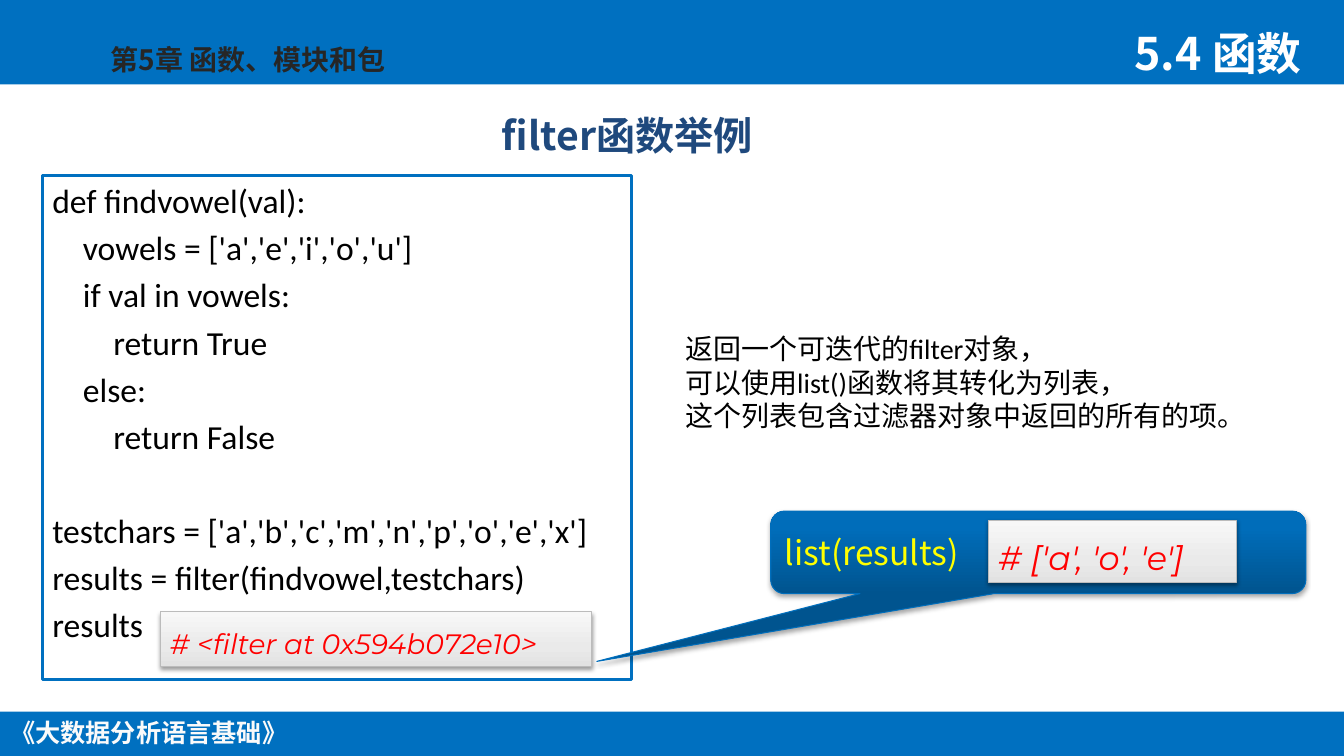
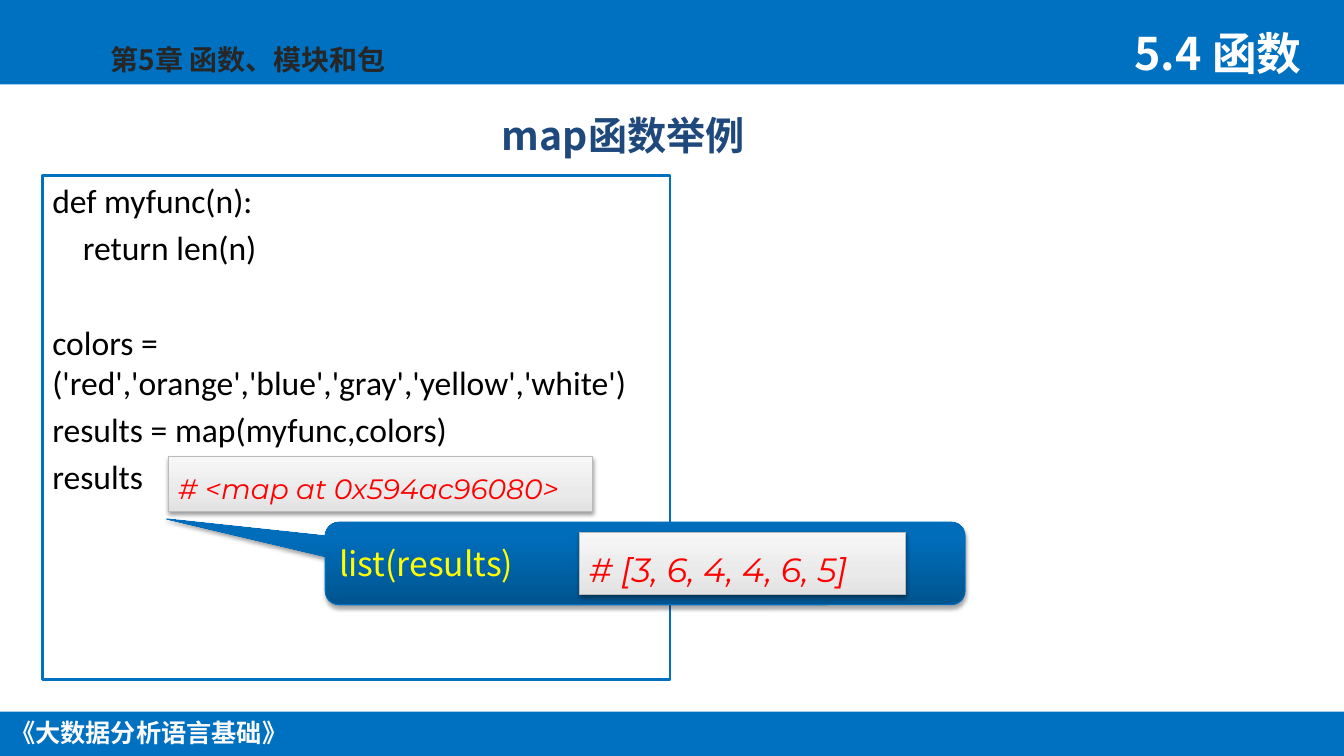
from lxml import etree
from pptx import Presentation
from pptx.dml.color import RGBColor
from pptx.enum.shapes import MSO_SHAPE
from pptx.enum.text import MSO_ANCHOR, MSO_AUTO_SIZE, PP_ALIGN
from pptx.oxml import parse_xml
from pptx.oxml.ns import nsdecls, qn
from pptx.util import Cm, Pt

RECT, CALLOUT = MSO_SHAPE.RECTANGLE, MSO_SHAPE.ROUNDED_RECTANGULAR_CALLOUT
TOP, MIDDLE, BOTTOM = MSO_ANCHOR.TOP, MSO_ANCHOR.MIDDLE, MSO_ANCHOR.BOTTOM
LEFT, CENTER = PP_ALIGN.LEFT, PP_ALIGN.CENTER
NO_FIT = MSO_AUTO_SIZE.NONE

WIDTH, HEIGHT = 33.88, 19.05
CJK = "Noto Sans CJK SC"
COLORS = {
    "band": "0070C0", "white": "FFFFFF", "footer": "FAFAFA", "chapter": "262626",
    "title": "1F497D", "code": "000000", "result": "FF0000", "call": "FFFF00",
    "note_line": "BBBBBB", "call_line": "006EBC", "shadow": "000000",
}
GRADIENTS = {
    "note": [(0, "E2E2E2"), (35, "EAEAEA"), (100, "F7F7F7")],
    "call": [(0, "00548F"), (80, "006DBA"), (100, "006DBB")],
}
FORMATS = {
    "footer": {"size": Pt(18), "name": CJK, "bold": True},
    "chapter": {"size": Pt(20), "name": CJK, "bold": True},
    "section": {"size": Pt(32), "name": CJK, "bold": True},
    "title": {"size": Pt(28), "name": CJK, "bold": True},
    "code": {"size": Pt(24), "name": "Calibri"},
    "remark": {"size": Pt(20), "name": "Calibri"},
    "call": {"size": Pt(24), "name": CJK},
    "note": {"size": Pt(20), "name": "Montserrat", "italic": True},
    "list": {"size": Pt(24), "name": "Montserrat", "italic": True},
}

BANDS = [(0, 0, WIDTH, 2.13), (0, 17.93, WIDTH, 1.12)]
FOOTER = ("《大数据分析语言基础》", (0, 17.96, 7.5, 1.02))
CHAPTER = ("第5章 函数、模块和包", (2.54, 0.94, 9.6, 1.12))
SECTION = ("5.4 函数", (28.35, 0.53, 5.53, 1.63))
TITLE_BOX = (12.4, 2.54, 9.07, 1.6)
CODE_LEFT, CODE_TOP, CODE_HEIGHT = 1.07, 4.42, 12.7
CODE_INDENT, CODE_SPACE, CODE_GAP = 0.77, 4.8, 38.4

SLIDES = [
    {
        "title": "filter函数举例",
        "code_width": 14.86,
        "code": [
            [(0, "def findvowel(val):"), (1, "vowels = ['a','e','i','o','u']"),
             (1, "if val in vowels:"), (2, "return True"), (1, "else:"), (2, "return False")],
            [(0, "testchars = ['a','b','c','m','n','p','o','e','x']"),
             (0, "results = filter(findvowel,testchars)"), (0, "results")],
        ],
        "note": ("# <filter at 0x594b072e10>", (4.04, 15.42, 10.87, 1.37)),
        "call": ("list(results)", (19.43, 12.88, 13.49, 2.08), (-0.825, 1.321, 0.167)),
        "list": ("# ['a', 'o', 'e']", (24.92, 13.11, 6.25, 1.57)),
        "remark": (["返回一个可迭代的filter对象，", "可以使用list()函数将其转化为列表，",
                    "这个列表包含过滤器对象中返回的所有的项。"], (17.02, 8.23, 14.76, 2.82)),
    },
    {
        "title": "map函数举例",
        "code_width": 15.82,
        "code": [
            [(0, "def myfunc(n):"), (1, "return len(n)")],
            [(0, "colors = ('red','orange','blue','gray','yellow','white')"),
             (0, "results = map(myfunc,colors)"), (0, "results")],
        ],
        "note": ("# <map at 0x594ac96080>", (4.24, 11.51, 10.69, 1.37)),
        "call": ("list(results)", (8.2, 13.16, 16.13, 2.08), (-0.748, -0.539, 0.167)),
        "list": ("# [3, 6, 4, 4, 6, 5]", (14.6, 13.41, 8.23, 1.57)),
    },
]


def rgb(key):
    return RGBColor.from_string(COLORS[key])


def write(sp, lines, style, color, anchor=TOP, align=LEFT, spacing=None):
    tf = sp.text_frame
    tf.word_wrap, tf.auto_size, tf.vertical_anchor = True, NO_FIT, anchor
    for i, line in enumerate(lines):
        p = tf.add_paragraph() if i else tf.paragraphs[0]
        p.alignment = align
        if spacing:
            p.line_spacing = spacing
        r = p.add_run()
        r.text = line
        for name, value in FORMATS[style].items():
            setattr(r.font, name, value)
        r.font.color.rgb = rgb(color)
        etree.SubElement(r.font._element, qn("a:ea")).set("typeface", CJK)
    return tf


def add_text(s, lines, box, style, color, align=LEFT):
    sp = s.shapes.add_textbox(*map(Cm, box))
    write(sp, lines, style, color, align=align)
    return sp


def add_box(s, box, fill, line=None, width=0, kind=RECT):
    sp = s.shapes.add_shape(kind, *map(Cm, box))
    sp.shadow.inherit = False
    sp.fill.solid()
    sp.fill.fore_color.rgb = rgb(fill)
    if line:
        sp.line.color.rgb = rgb(line)
        sp.line.width = Pt(width)
    else:
        sp.line.fill.background()
    return sp


def add_raised(s, box, look, alpha, distance, kind=RECT):
    sp = add_box(s, box, "white", look + "_line", 0.75, kind)
    spPr = sp.element.spPr
    stops = "".join(f'<a:gs pos="{pos * 1000}"><a:srgbClr val="{color}"/></a:gs>'
                    for pos, color in GRADIENTS[look])
    spPr.replace(spPr.find(qn("a:solidFill")), parse_xml(
        f'<a:gradFill {nsdecls("a")} rotWithShape="1"><a:gsLst>{stops}</a:gsLst>'
        '<a:lin ang="16200000" scaled="0"/></a:gradFill>'))
    spPr.find(qn("a:effectLst")).append(parse_xml(
        f'<a:outerShdw {nsdecls("a")} blurRad="{Pt(3.1)}" dist="{Pt(distance)}" '
        f'dir="5400000" rotWithShape="0"><a:srgbClr val="{COLORS["shadow"]}">'
        f'<a:alpha val="{alpha * 1000}"/></a:srgbClr></a:outerShdw>'))
    return sp


def add_code(s, blocks, width):
    sp = add_box(s, (CODE_LEFT, CODE_TOP, width, CODE_HEIGHT), "white", "band", 2)
    rows = [(level, text, b > 0 and i == 0)
            for b, block in enumerate(blocks) for i, (level, text) in enumerate(block)]
    tf = write(sp, [text for _, text, _ in rows], "code", "code")
    for p, (level, _, starts_block) in zip(tf.paragraphs, rows):
        p.space_before = Pt(CODE_GAP if starts_block else CODE_SPACE)
        pPr = p._p.get_or_add_pPr()
        pPr.set("marL", str(Cm(CODE_INDENT * level)))
        pPr.set("indent", "0")


def add_note(s, text, box, style):
    write(add_raised(s, box, "note", 38, 1.6), [text], style, "result", spacing=1.3)


def add_call(s, text, box, adjustments):
    sp = add_raised(s, box, "call", 35, 1.8, CALLOUT)
    for i, value in enumerate(adjustments):
        sp.adjustments[i] = value
    write(sp, [text], "call", "call", MIDDLE)


def set_title(s, text):
    sp = s.shapes.title
    sp.left, sp.top, sp.width, sp.height = map(Cm, TITLE_BOX)
    write(sp, [text], "title", "title", BOTTOM, spacing=0.9)


def move_bands_to_layout(s, layout):
    for ph in list(layout.placeholders)[1:]:
        ph.element.getparent().remove(ph.element)
    shared = [add_box(s, box, "band") for box in BANDS]
    shared.append(add_text(s, [FOOTER[0]], FOOTER[1], "footer", "footer", CENTER))
    shared.append(add_text(s, [CHAPTER[0]], CHAPTER[1], "chapter", "chapter"))
    for sp in shared:
        layout.shapes.element.append(sp.element)


def build_slide(s, content):
    set_title(s, content["title"])
    add_text(s, [SECTION[0]], SECTION[1], "section", "white")
    add_code(s, content["code"], content["code_width"])
    add_note(s, *content["note"], "note")
    add_call(s, *content["call"])
    add_note(s, *content["list"], "list")
    if "remark" in content:
        add_text(s, *content["remark"], "remark", "code")


def main():
    prs = Presentation()
    prs.slide_width, prs.slide_height = Cm(WIDTH), Cm(HEIGHT)
    layout = prs.slide_layouts[5]
    for i, content in enumerate(SLIDES):
        s = prs.slides.add_slide(layout)
        if i == 0:
            move_bands_to_layout(s, layout)
        build_slide(s, content)
    prs.save("out.pptx")


if __name__ == "__main__":
    main()
